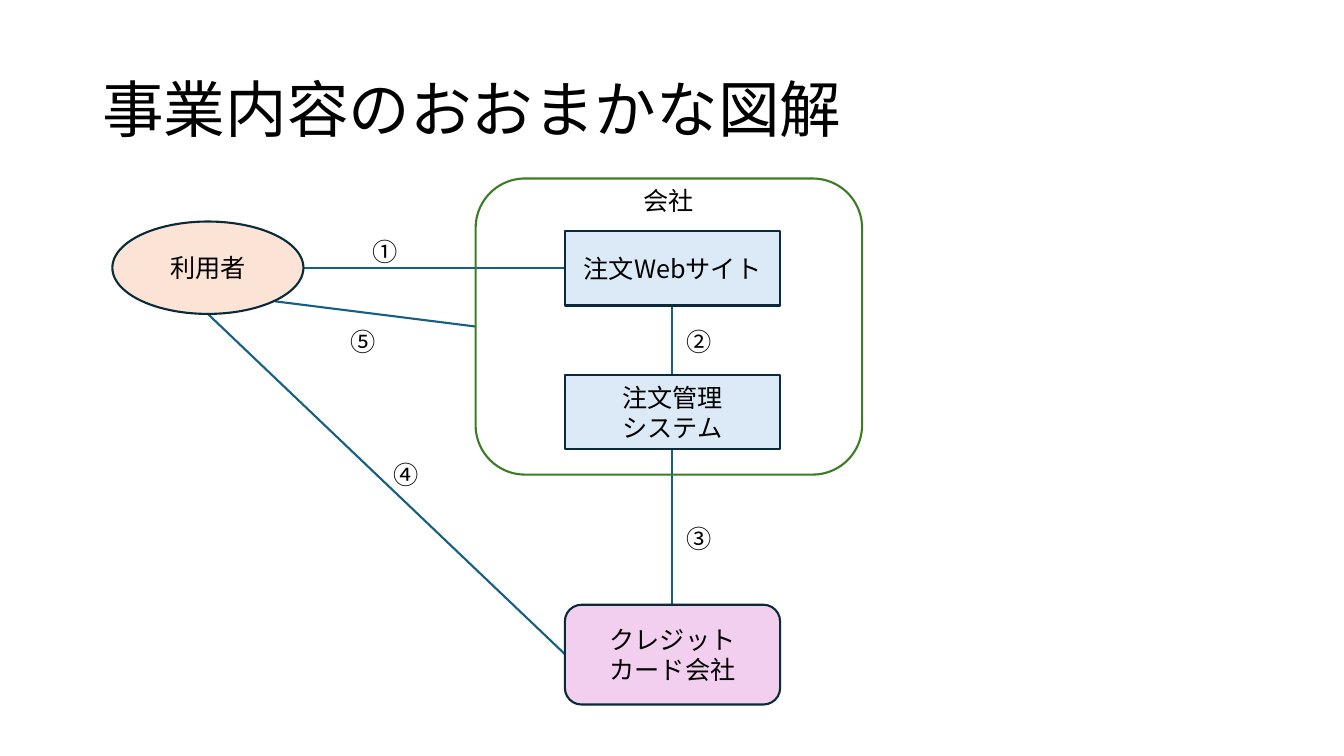
from lxml.etree import SubElement
from pptx import Presentation
from pptx.dml.color import RGBColor
from pptx.enum.shapes import MSO_CONNECTOR, MSO_SHAPE
from pptx.enum.text import MSO_ANCHOR, PP_ALIGN
from pptx.oxml.ns import qn
from pptx.util import Pt

PX = 9525  # EMU per px, 96 px to the inch
FONT = "Noto Sans CJK JP"


def color(value):
    return RGBColor.from_string(value)


def write(shape, lines, size=18, align=PP_ALIGN.LEFT, anchor=MSO_ANCHOR.TOP, spacing=None):
    """Fill a shape with one paragraph per line."""
    tf = shape.text_frame
    tf.word_wrap = True
    tf.vertical_anchor = anchor
    for i, line in enumerate(lines):
        p = tf.paragraphs[0] if i == 0 else tf.add_paragraph()
        p.alignment = align
        p.line_spacing = spacing
        r = p.add_run()
        r.text = line
        r.font.size = Pt(size)
        r.font.color.rgb = color("000000")
        r.font.name = FONT
        SubElement(r.font._element, qn("a:ea")).set("typeface", FONT)


prs = Presentation()
prs.slide_width = 1280 * PX
prs.slide_height = 720 * PX
s = prs.slides.add_slide(prs.slide_layouts[6])

title = s.shapes.add_textbox(88 * PX, 38 * PX, 1104 * PX, 139 * PX)
write(title, ["事業内容のおおまかな図解"], size=44, anchor=MSO_ANCHOR.MIDDLE, spacing=0.9)

# Connections between the parties: x1, y1, x2, y2
connections = [
    (289, 255, 538, 255),
    (640, 357, 640, 291),
    (640, 576, 640, 429),
    (198, 299, 538, 623),
    (262, 287, 453, 311),
]
for ends in connections:
    line = s.shapes.add_connector(MSO_CONNECTOR.STRAIGHT, *(v * PX for v in ends))
    line.line.color.rgb = color("156082")
    line.line.width = Pt(1.5)
    SubElement(line._element.spPr, qn("a:effectLst"))

# Parties: shape, x, y, width, height, fill, outline, lines of text
parties = [
    (MSO_SHAPE.RECTANGLE, 538, 220, 205, 71, "DCEAF7", "092A39", ["注文Webサイト"]),
    (MSO_SHAPE.RECTANGLE, 538, 357, 205, 71, "DCEAF7", "092A39", ["注文管理", "システム"]),
    (MSO_SHAPE.OVAL, 107, 211, 182, 88, "FBE3D6", "092A39", ["利用者"]),
    (MSO_SHAPE.ROUNDED_RECTANGLE, 538, 576, 205, 95, "F2CFEE", "092A39", ["クレジット", "カード会社"]),
    (MSO_SHAPE.ROUNDED_RECTANGLE, 453, 170, 368, 282, None, "3B7D23", []),
]
for kind, x, y, w, h, fill, outline, lines in parties:
    sp = s.shapes.add_shape(kind, x * PX, y * PX, w * PX, h * PX)
    sp.shadow.inherit = False
    if fill:
        sp.fill.solid()
        sp.fill.fore_color.rgb = color(fill)
    else:
        sp.fill.background()
    sp.line.color.rgb = color(outline)
    sp.line.width = Pt(1.5)
    write(sp, lines, align=PP_ALIGN.CENTER, anchor=MSO_ANCHOR.MIDDLE)

# Labels: text, x, y, width
labels = [
    ("会社", 603, 172, 69),
    ("①", 345, 220, 47),
    ("②", 644, 306, 47),
    ("③", 644, 494, 47),
    ("④", 365, 433, 47),
    ("⑤", 324, 306, 47),
]
for text, x, y, w in labels:
    label = s.shapes.add_textbox(x * PX, y * PX, w * PX, 38 * PX)
    write(label, [text])

prs.save("out.pptx")
